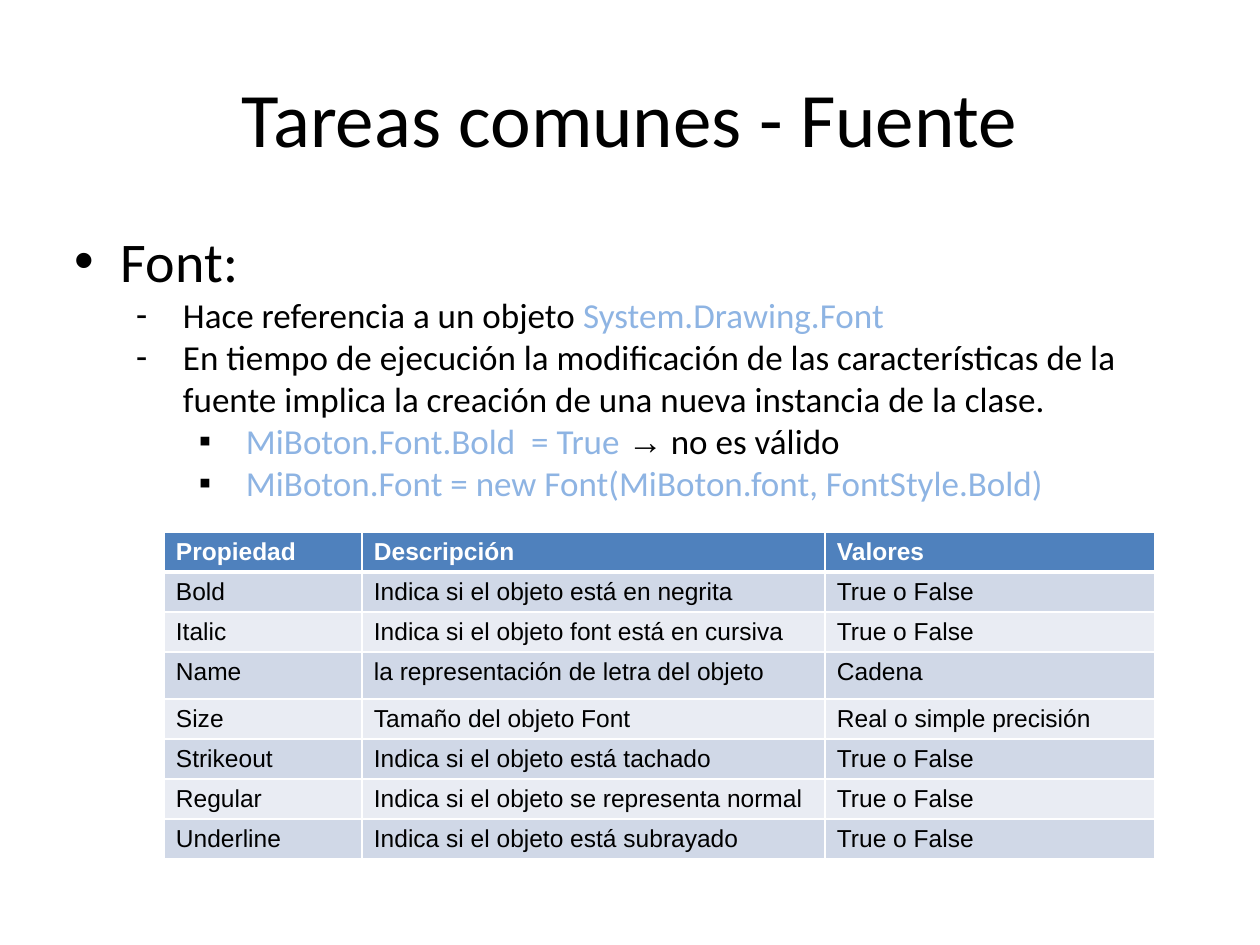
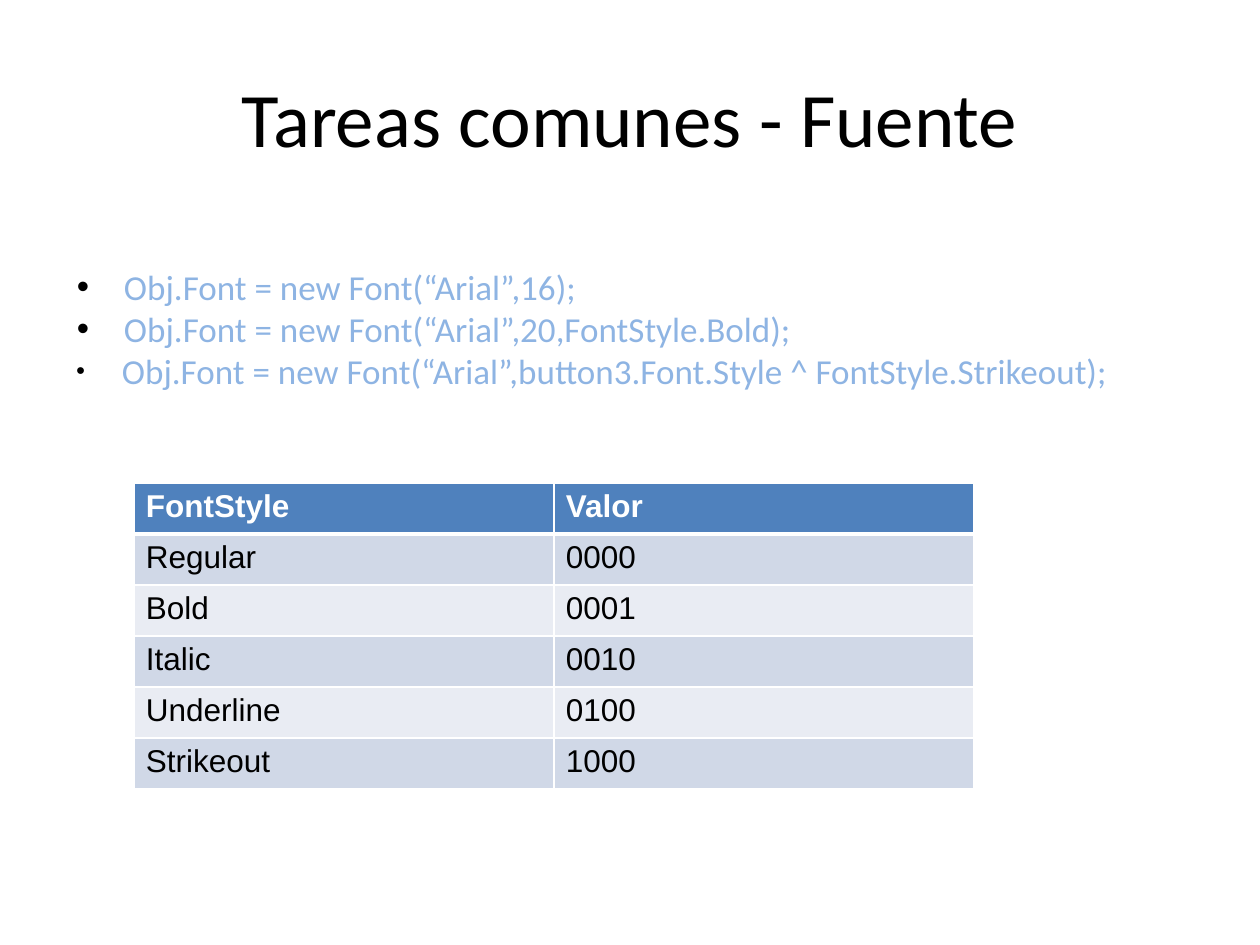
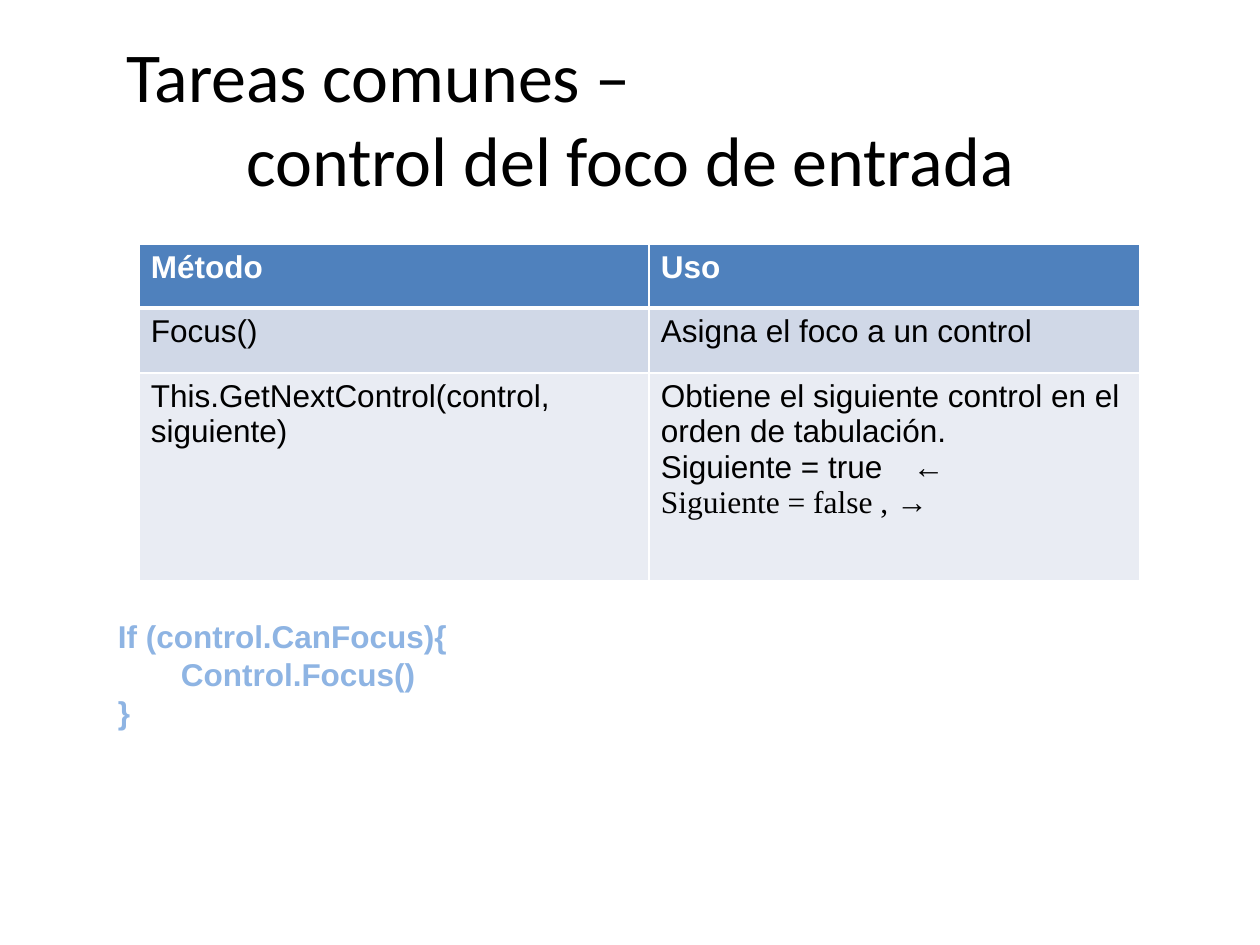
from dataclasses import dataclass

from lxml.etree import SubElement
from pptx import Presentation
from pptx.dml.color import RGBColor
from pptx.enum.text import MSO_ANCHOR, MSO_AUTO_SIZE, PP_ALIGN
from pptx.oxml.ns import qn
from pptx.util import Emu, Pt

PX = 914400 // 126


@dataclass(frozen=True)
class Theme:
    heading: str = "Calibri"
    plain: str = "Arial"
    serif: str = "Times New Roman"
    ink: str = "000000"
    code: str = "8EB4E3"
    white: str = "FFFFFF"
    header: str = "4F81BD"
    bands: tuple = ("D0D8E7", "E9ECF3")
    title: int = 44
    long_title: int = 40
    lead: int = 32
    body: int = 20
    cell: int = 18
    small_cell: int = 14
    thin: float = 0.96
    thick: float = 3


THEME = Theme()
CODE = {"color": THEME.code}
ARROW = {"font": THEME.plain}

# Paragraph styles: left margin and first-line indent in px, then bullet
LEAD = {"margin": 48, "indent": -47, "bullet": "•"}
DASH = {"margin": 110, "indent": -47, "bullet": "-"}
SQUARE = {"margin": 173, "indent": -47, "bullet": "▪"}
DOT = {"margin": 46, "indent": -46, "bullet": "●", "bullet_size": 45}

# Content: a paragraph is (style, runs) and a run is (text, format)
FONT_TITLE = [({"align": PP_ALIGN.CENTER}, [("Tareas comunes - Fuente", {})])]
FOCUS_TITLE = [
    ({"align": PP_ALIGN.LEFT, "margin": 50}, [("Tareas comunes –", {})]),
    ({"align": PP_ALIGN.CENTER}, [("control del foco de entrada", {})]),
]
FLAG = "True o False"

SLIDES = [
    {
        "title": FONT_TITLE,
        "title_size": THEME.title,
        "text": {
            "at": (60, 220, 1134, 624),
            "format": {"font": THEME.heading, "size": THEME.body},
            "paras": [
                (LEAD, [("Font:", {"size": THEME.lead})]),
                (DASH, [("Hace referencia a un objeto ", {}), ("System.Drawing.Font", CODE)]),
                (DASH, [("En tiempo de ejecución la modificación de las características de la "
                         "fuente implica la creación de una nueva instancia de la clase.", {})]),
                (SQUARE, [("MiBoton.Font.Bold  = True ", CODE), ("→", ARROW),
                          (" no es válido", {})]),
                (SQUARE, [("MiBoton.Font = new Font(MiBoton.font, FontStyle.Bold)", CODE)]),
            ],
        },
        "table": {
            "at": (164, 532),
            "columns": (198, 463, 330),
            "heights": (40, 40, 40, 47, 40, 40, 40, 40),
            "size": THEME.small_cell,
            "rows": [
                ("Propiedad", "Descripción", "Valores"),
                ("Bold", "Indica si el objeto está en negrita", FLAG),
                ("Italic", "Indica si el objeto font está en cursiva", FLAG),
                ("Name", "la representación de letra del objeto", "Cadena"),
                ("Size", "Tamaño del objeto Font", "Real o simple precisión"),
                ("Strikeout", "Indica si el objeto está tachado", FLAG),
                ("Regular", "Indica si el objeto se representa normal", FLAG),
                ("Underline", "Indica si el objeto está subrayado", FLAG),
            ],
        },
    },
    {
        "title": FONT_TITLE,
        "title_size": THEME.title,
        "text": {
            "at": (63, 220, 1134, 624),
            "inset_top": 45,
            "format": {"font": THEME.heading, "size": THEME.body, "color": THEME.code},
            "paras": [
                (LEAD, [("Obj.Font = new Font(“Arial”,16);", {})]),
                (LEAD, [("Obj.Font = new Font(“Arial”,20,FontStyle.Bold);", {})]),
                (DOT, [("Obj.Font = new Font(“Arial”,button3.Font.Style ^ FontStyle.Strikeout);",
                        {})]),
            ],
        },
        "table": {
            "at": (134, 483),
            "columns": (420, 420),
            "heights": (51,) * 6,
            "size": THEME.cell,
            "rows": [
                ("FontStyle", "Valor"),
                ("Regular", "0000"),
                ("Bold", "0001"),
                ("Italic", "0010"),
                ("Underline", "0100"),
                ("Strikeout", "1000"),
            ],
        },
    },
    {
        "title": FOCUS_TITLE,
        "title_size": THEME.long_title,
        "text": {
            "at": (42, 611, 1174, 297),
            "format": {"font": THEME.plain, "size": THEME.cell, "color": THEME.code, "bold": True},
            "paras": [
                ({"margin": 63}, [("If (control.CanFocus){", {})]),
                ({"margin": 126}, [("Control.Focus()", {})]),
                ({"margin": 63}, [("}", {})]),
            ],
        },
        "table": {
            "at": (139, 244),
            "columns": (510, 491),
            "heights": (64, 65, 208),
            "size": THEME.cell,
            "rows": [
                ("Método", "Uso"),
                ("Focus()", "Asigna el foco a un control"),
                ("This.GetNextControl(control, siguiente)", [
                    ({}, [("Obtiene el siguiente control en el orden de tabulación.", {})]),
                    ({"tab": 253}, [("Siguiente = true\t←", {})]),
                    ({}, [("Siguiente = false , ", {"font": THEME.serif}), ("→", {})]),
                ]),
            ],
        },
    },
]


def px(*lengths):
    return [Emu(length * PX) for length in lengths]


def style_para(para, style):
    """Set alignment, indents, bullet and tab stop."""
    para.alignment = style.get("align", PP_ALIGN.LEFT)
    props = para._p.get_or_add_pPr()
    props.set("marL", str(style.get("margin", 0) * PX))
    props.set("indent", str(style.get("indent", 0) * PX))
    if "bullet" in style:
        color = SubElement(props, qn("a:buClr"))
        SubElement(color, qn("a:srgbClr"), val=THEME.ink)
        if "bullet_size" in style:
            SubElement(props, qn("a:buSzPct"), val=str(style["bullet_size"] * 1000))
        SubElement(props, qn("a:buFont"), typeface=THEME.plain)
        SubElement(props, qn("a:buChar"), char=style["bullet"])
    else:
        SubElement(props, qn("a:buNone"))
    if "tab" in style:
        stops = SubElement(props, qn("a:tabLst"))
        SubElement(stops, qn("a:tab"), pos=str(style["tab"] * PX), algn="l")


def write(frame, paras, base):
    """Fill a text frame run by run; run formats override the base."""
    for index, (style, runs) in enumerate(paras):
        para = frame.add_paragraph() if index else frame.paragraphs[0]
        style_para(para, style)
        for text, changes in runs:
            look = {"color": THEME.ink, "bold": False, **base, **changes}
            span = para.add_run()
            span.text = text
            span.font.name = look["font"]
            span.font.size = Pt(look["size"])
            span.font.bold = look["bold"]
            span.font.color.rgb = RGBColor.from_string(look["color"])


def set_insets(frame, top=6):
    frame.margin_left, frame.margin_right, frame.margin_top, frame.margin_bottom = px(13, 13, top, 6)
    frame.word_wrap = True
    frame.auto_size = MSO_AUTO_SIZE.NONE


def add_title(page, paras, size):
    title = page.shapes.title
    title.left, title.top, title.width, title.height = px(63, 38, 1134, 157)
    set_insets(title.text_frame)
    title.text_frame.vertical_anchor = MSO_ANCHOR.MIDDLE
    write(title.text_frame, paras, {"font": THEME.heading, "size": size})


def add_text(page, text):
    box = page.shapes.add_textbox(*px(*text["at"]))
    set_insets(box.text_frame, text.get("inset_top", 6))
    write(box.text_frame, text["paras"], text["format"])


def set_borders(cell, row):
    """White rules, thick between the header and the first row."""
    widths = {"lnL": THEME.thin, "lnR": THEME.thin,
              "lnT": THEME.thick if row == 1 else THEME.thin,
              "lnB": THEME.thick if row == 0 else THEME.thin}
    props = cell._tc.get_or_add_tcPr()
    for place, (side, width) in enumerate(widths.items()):
        line = SubElement(props, qn(f"a:{side}"), w=str(Pt(width)))
        fill = SubElement(line, qn("a:solidFill"))
        SubElement(fill, qn("a:srgbClr"), val=THEME.white)
        props.insert(place, line)


def add_table(page, content):
    rows, columns, heights = content["rows"], content["columns"], content["heights"]
    frame = page.shapes.add_table(len(rows), len(columns),
                                  *px(*content["at"], sum(columns), sum(heights)))
    table = frame.table
    for column, width in zip(table.columns, columns):
        column.width = Emu(width * PX)
    for row, (values, height) in enumerate(zip(rows, heights)):
        table.rows[row].height = Emu(height * PX)
        look = {"font": THEME.plain, "size": content["size"]}
        if row == 0:
            look.update(color=THEME.white, bold=True)
        for column, value in enumerate(values):
            cell = table.cell(row, column)
            cell.margin_left, cell.margin_right, cell.margin_top, cell.margin_bottom = px(12, 12, 6, 5)
            cell.fill.solid()
            fill = THEME.bands[(row - 1) % 2] if row else THEME.header
            cell.fill.fore_color.rgb = RGBColor.from_string(fill)
            set_borders(cell, row)
            paras = [({}, [(value, {})])] if isinstance(value, str) else value
            write(cell.text_frame, paras, look)


def main():
    deck = Presentation()
    deck.slide_width, deck.slide_height = px(1260, 945)
    title_only = deck.slide_layouts[5]
    for content in SLIDES:
        page = deck.slides.add_slide(title_only)
        add_title(page, content["title"], content["title_size"])
        add_text(page, content["text"])
        add_table(page, content["table"])
    deck.save("out.pptx")


if __name__ == "__main__":
    main()
